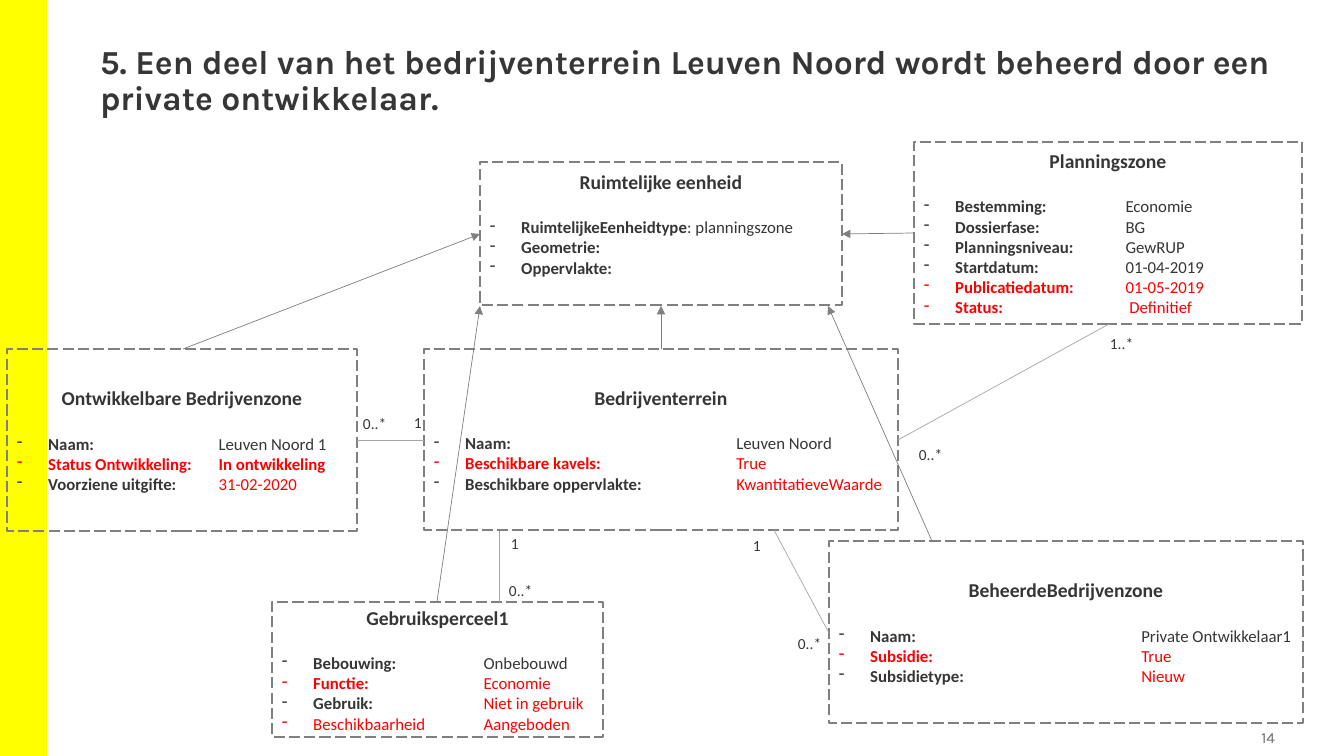
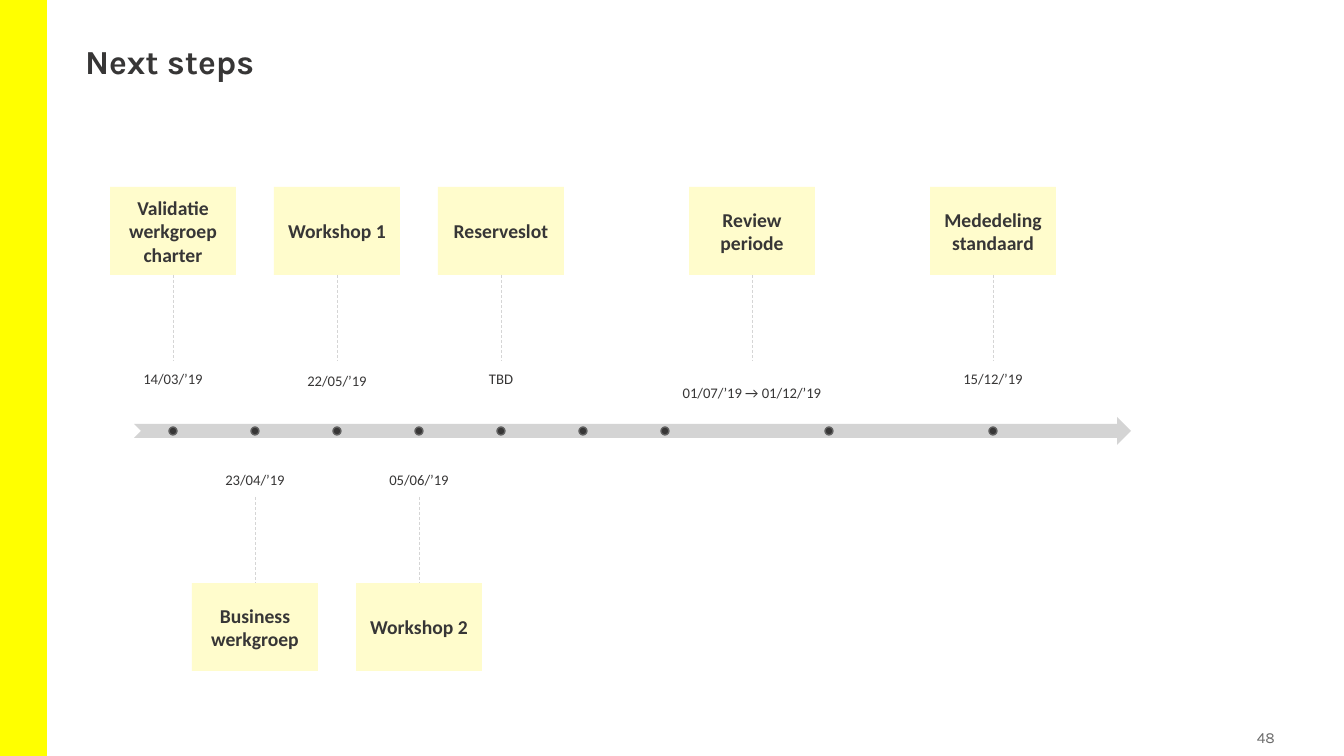
from pptx import Presentation
from pptx.dml.color import RGBColor
from pptx.enum import dml, shapes, text
from pptx.oxml.ns import qn
from pptx.util import Emu, Inches, Pt
from lxml import etree


class Theme:
    ink, red, grey, page_grey = "373636", "FF0000", "808080", "6B6B6B"
    link, stem, axis, dot_rim = "A6A6A6", "D5D5D5", "D4D4D4", "616161"
    band, card = "FFFF00", "FFFCCC"
    head_font, body_font = "Karla", "Calibri"
    title, heading, row, small, date = 24, 14, 12, 11, 10.5


PX = 914400 / 100.8
LEFT, CENTER, RIGHT = text.PP_ALIGN.LEFT, text.PP_ALIGN.CENTER, text.PP_ALIGN.RIGHT
TOP, MIDDLE, BOTTOM = text.MSO_ANCHOR.TOP, text.MSO_ANCHOR.MIDDLE, text.MSO_ANCHOR.BOTTOM
RECT = shapes.MSO_SHAPE.RECTANGLE


def put(slide, box, words="", size=Theme.row, bold=False, color=Theme.ink,
        font=Theme.body_font, align=LEFT, anchor=TOP, insets=(10, 5, 10, 5),
        spacing=1.0, preset=None, fill=None, line=None):
    """Add a preset shape, or a text box when no preset is given."""
    place = [Emu(round(v * PX)) for v in box]
    if preset is None:
        shape = slide.shapes.add_textbox(*place)
    else:
        shape = slide.shapes.add_shape(preset, *place)
        shape.shadow.inherit = False
        if fill:
            shape.fill.solid()
            shape.fill.fore_color.rgb = RGBColor.from_string(fill)
        else:
            shape.fill.background()
        if line:
            shape.line.color.rgb = RGBColor.from_string(line)
            shape.line.width = Pt(1)
        else:
            shape.line.fill.background()
    frame = shape.text_frame
    frame.word_wrap = True
    frame.vertical_anchor = anchor
    frame.margin_left, frame.margin_top, frame.margin_right, frame.margin_bottom = [
        Emu(round(v * PX)) for v in insets]
    if words:
        frame.text = words
        paragraph = frame.paragraphs[0]
        paragraph.alignment, paragraph.line_spacing = align, spacing
        face = paragraph.runs[0].font
        face.name, face.size, face.bold = font, Pt(size), bold
        face.color.rgb = RGBColor.from_string(color)
    return shape


def join(slide, x1, y1, x2, y2, color, arrow=False, dash=None):
    """Draw a thin straight line, with an arrowhead at its end if asked."""
    connector = slide.shapes.add_connector(
        shapes.MSO_CONNECTOR.STRAIGHT, *[Emu(round(v * PX)) for v in (x1, y1, x2, y2)])
    connector.line.color.rgb = RGBColor.from_string(color)
    connector.line.width = Pt(0.5)
    if dash:
        connector.line.dash_style = dash
    if arrow:
        etree.SubElement(connector.line._get_or_add_ln(), qn("a:tailEnd"), type="triangle")
    etree.SubElement(connector._element.spPr, qn("a:effectLst"))


deck = Presentation()
deck.slide_width, deck.slide_height = Emu(round(1344 * PX)), Emu(round(756 * PX))

# Shared band, title and page number
pages = []
for title, title_box, number in [
    ("5. Een deel van het bedrijventerrein Leuven Noord wordt beheerd door een "
     "private ontwikkelaar.", (90, 40, 1234, 146), "14"),
    ("Next steps", (75, 40, 942, 109), "48"),
]:
    page = deck.slides.add_slide(deck.slide_layouts[6])
    put(page, (0, 0, 47, 756), preset=RECT, fill=Theme.band)
    put(page, title_box, title, Theme.title, True, font=Theme.head_font, spacing=0.9)
    put(page, (1179, 723, 101, 29), number, Theme.small, color=Theme.page_grey,
        font=Theme.head_font, align=RIGHT, anchor=MIDDLE, insets=(5, 5, 5, 5))
    pages.append(page)
model, steps = pages

# Class boxes: place, heading, inches to the value column, bottom inset, rows.
# A row is label, label style, value, value style (b = bold, r = red).
classes = [
    ((480, 162, 362, 143), "Ruimtelijke eenheid", 2, 25, [
        ("RuimtelijkeEenheidtype", "b", ": planningszone", ""),
        ("Geometrie:", "b", "", ""),
        ("Oppervlakte:", "b", "", "")]),
    ((914, 142, 388, 182), "Planningszone", 2, 5, [
        ("Bestemming:\t", "b", "Economie", ""),
        ("Dossierfase:\t", "b", "BG", ""),
        ("Planningsniveau:\t", "b", "GewRUP", ""),
        ("Startdatum:\t", "b", "01-04-2019", ""),
        ("Publicatiedatum:\t", "br", "01-05-2019", "r"),
        ("Status:\t", "br", " Definitief", "r")]),
    ((424, 349, 474, 181), "Bedrijventerrein", 3, 5, [
        ("Naam:\t", "b", "Leuven Noord", ""),
        ("Beschikbare kavels:\t", "br", "True", "r"),
        ("Beschikbare oppervlakte:\t", "b", "KwantitatieveWaarde", "r")]),
    ((7, 349, 350, 182), "Ontwikkelbare Bedrijvenzone", 2, 5, [
        ("Naam:\t", "b", "Leuven Noord 1", ""),
        ("Status Ontwikkeling:\t", "br", "In ontwikkeling", "br"),
        ("Voorziene uitgifte:\t", "b", "31-02-2020", "r")]),
    ((272, 602, 331, 135), "Gebruiksperceel1", 2, 5, [
        ("Bebouwing:\t", "b", "Onbebouwd", ""),
        ("Functie:\t", "br", "Economie", "r"),
        ("Gebruik:\t", "b", "Niet in gebruik", "r"),
        ("Beschikbaarheid\t", "r", "Aangeboden", "r")]),
    ((829, 541, 474, 182), "BeheerdeBedrijvenzone", 3, 5, [
        ("Naam:\t", "b", "Private Ontwikkelaar1", ""),
        ("Subsidie:\t", "br", "True", "r"),
        ("Subsidietype:\t", "b", "Nieuw", "r")]),
]
for box, heading, column, bottom, rows in classes:
    entity = put(model, box, heading, Theme.heading, True, align=CENTER, anchor=MIDDLE,
                 insets=(10, 5, 10, bottom), preset=RECT, line=Theme.grey)
    entity.line.dash_style = dml.MSO_LINE.LONG_DASH
    entity.text_frame.paragraphs[0].space_after = Pt(17)
    for label, label_style, value, value_style in rows:
        attribute = entity.text_frame.add_paragraph()
        attribute.alignment = LEFT
        props = attribute._p.get_or_add_pPr()
        props.set("marL", str(Inches(0.31)))
        props.set("indent", str(-Inches(0.31)))
        props.set("defTabSz", str(Inches(column)))
        etree.SubElement(props, qn("a:buChar"), char="-")
        for part, style in ((label, label_style), (value, value_style)):
            if part:
                run = attribute.add_run()
                run.text = part
                run.font.name, run.font.size = Theme.body_font, Pt(Theme.row)
                run.font.bold = "b" in style
                run.font.color.rgb = RGBColor.from_string(
                    Theme.red if "r" in style else Theme.ink)

# Inheritance arrows
for ends in [(437, 602, 480, 306), (914, 233, 842, 234), (661, 349, 661, 306),
             (183, 349, 480, 234), (932, 541, 828, 306)]:
    join(model, *ends, Theme.grey, arrow=True)

# Associations and their multiplicities
for ends in [(1109, 324, 898, 440), (357, 440, 424, 440), (499, 531, 499, 602),
             (774, 530, 829, 633)]:
    join(model, *ends, Theme.link)
for x, y, count in [(1100, 329, "1..*"), (909, 440, "0..*"), (404, 408, "1"),
                    (353, 409, "0..*"), (501, 529, "1"), (499, 576, "0..*"),
                    (743, 531, "1"), (788, 629, "0..*")]:
    put(model, (x, y, 45, 29), count, Theme.small, insets=(10, 5, 0, 5))

# Time axis with its dots
put(steps, (134, 417, 997, 28), preset=shapes.MSO_SHAPE.NOTCHED_RIGHT_ARROW, fill=Theme.axis)
ticks = {n: 173 + 82 * n for n in (0, 1, 2, 3, 4, 5, 6, 8, 10)}
for center in ticks.values():
    put(steps, (center - 4, 427, 8, 8), preset=shapes.MSO_SHAPE.OVAL,
        fill=Theme.ink, line=Theme.dot_rim)

# Milestones: centre, card, date, date box (width, top, height), above the axis
for center, card, date, (width, top, height), above in [
    (ticks[0], "Validatie werkgroep charter", "14/03/’19", (78, 176, 220), True),
    (ticks[1], "Business werkgroep", "23/04/’19", (78, 465, 220), False),
    (ticks[2], "Workshop 1", "22/05/’19", (78, 178, 220), True),
    (ticks[3], "Workshop 2", "05/06/’19", (78, 465, 220), False),
    (ticks[4], "Reserveslot", "TBD", (78, 176, 220), True),
    (752, "Review periode", "01/07/’19 → 01/12/’19", (257, 362, 48), True),
    (ticks[10], "Mededeling standaard", "15/12/’19", (78, 176, 220), True),
]:
    card_top, stem_top = (187, 275) if above else (583, 497)
    put(steps, (center - width / 2, top, width, height), date, Theme.date, align=CENTER,
        anchor=BOTTOM if above else TOP, insets=(0, 9, 0, 9), spacing=0.9)
    put(steps, (center - 63, card_top, 126, 88), card, Theme.heading, True,
        align=CENTER, anchor=MIDDLE, preset=RECT, fill=Theme.card)
    join(steps, center, stem_top, center, stem_top + 86, Theme.stem, dash=dml.MSO_LINE.DASH)

deck.save("out.pptx")
